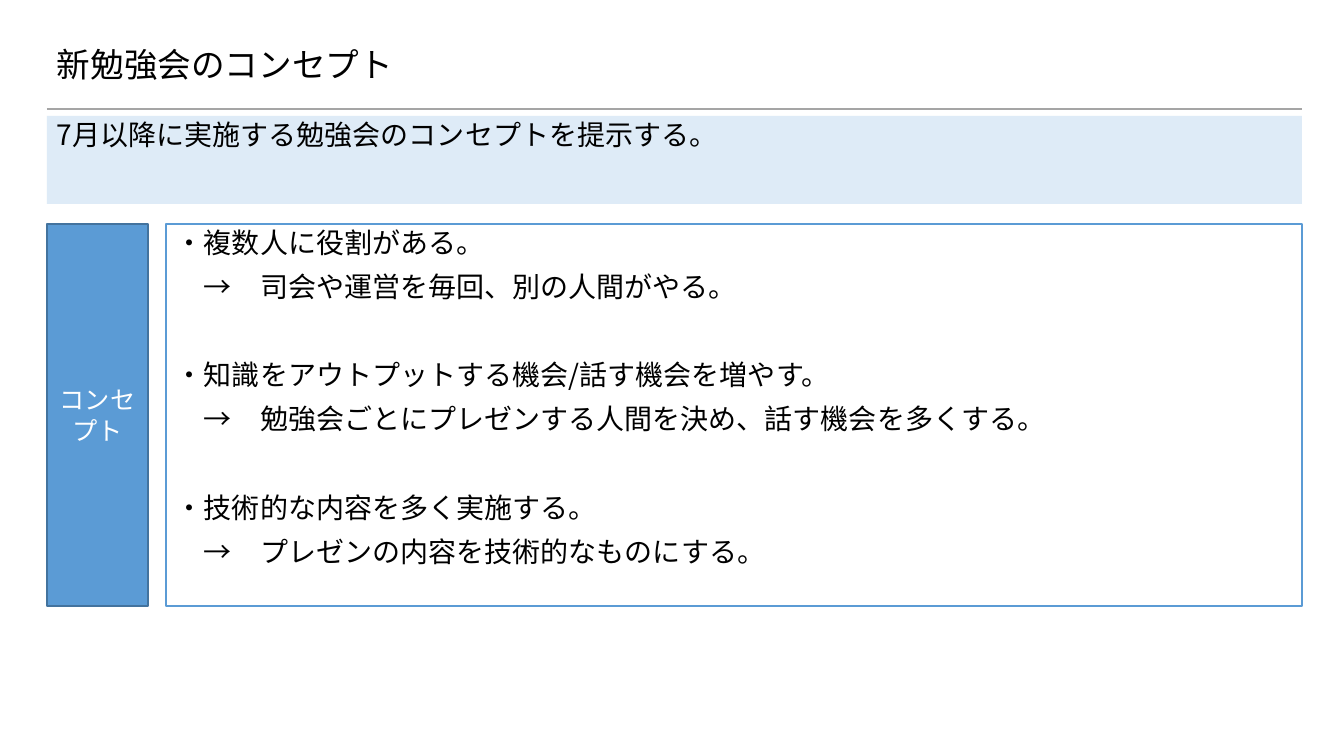
import pptx
import pptx.dml.color
import pptx.enum.shapes
import pptx.enum.text
import pptx.oxml.ns
import pptx.util
from lxml import etree

COLORS = {
    "black": "000000",
    "white": "FFFFFF",
    "rule": "A5A5A5",
    "banner": "DEEBF7",
    "blue": "5B9BD5",
    "dark_blue": "43739E",
}
FONT = "Noto Sans CJK JP"
LEFT, RIGHT = 47, 1302
PANEL_TOP, PANEL_HEIGHT = 224, 382
CONTENT_LEFT = 166
CONCEPTS = [
    ("・複数人に役割がある。", "　→　司会や運営を毎回、別の人間がやる。"),
    ("・知識をアウトプットする機会/話す機会を増やす。",
     "　→　勉強会ごとにプレゼンする人間を決め、話す機会を多くする。"),
    ("・技術的な内容を多く実施する。", "　→　プレゼンの内容を技術的なものにする。"),
]


def px(length):
    return pptx.util.Emu(round(length * 914400 / 100.8))


def rgb(name):
    return pptx.dml.color.RGBColor.from_string(COLORS[name])


class ConceptSlide:
    def __init__(self, presentation, font):
        self.font = font
        self.slide = presentation.slides.add_slide(presentation.slide_layouts[6])

    def rule(self, left, right, top, color, width):
        connector = self.slide.shapes.add_connector(
            pptx.enum.shapes.MSO_CONNECTOR.STRAIGHT, px(left), px(top), px(right), px(top))
        connector.line.color.rgb = rgb(color)
        connector.line.width = pptx.util.Pt(width)
        etree.SubElement(connector._element.spPr, pptx.oxml.ns.qn("a:effectLst"))

    def text(self, left, top, width, height, paragraphs, **style):
        shape = self.slide.shapes.add_textbox(px(left), px(top), px(width), px(height))
        self.fill_text(shape, paragraphs, **style)

    def box(self, left, top, width, height, fill, line, paragraphs, **style):
        shape = self.slide.shapes.add_shape(
            pptx.enum.shapes.MSO_SHAPE.RECTANGLE, px(left), px(top), px(width), px(height))
        shape.shadow.inherit = False
        shape.fill.solid()
        shape.fill.fore_color.rgb = rgb(fill)
        if line:
            shape.line.color.rgb = rgb(line)
            shape.line.width = pptx.util.Pt(1)
        else:
            shape.line.fill.background()
        self.fill_text(shape, paragraphs, **style)

    def fill_text(self, shape, paragraphs, size, color="black", anchor="TOP", align="LEFT", spacing=0.9):
        frame = shape.text_frame
        frame.word_wrap = True
        frame.vertical_anchor = pptx.enum.text.MSO_ANCHOR[anchor]
        for index, (words, space_before) in enumerate(paragraphs):
            paragraph = frame.add_paragraph() if index else frame.paragraphs[0]
            paragraph_format = {
                "alignment": pptx.enum.text.PP_ALIGN[align],
                "line_spacing": spacing,
                "space_before": pptx.util.Pt(space_before),
            }
            for name, value in paragraph_format.items():
                setattr(paragraph, name, value)
            run = paragraph.add_run()
            run.text = words
            for name, value in {"name": self.font, "size": pptx.util.Pt(size)}.items():
                setattr(run.font, name, value)
            run.font.color.rgb = rgb(color)
            east_asian = etree.SubElement(run._r.get_or_add_rPr(), pptx.oxml.ns.qn("a:ea"))
            east_asian.set("typeface", self.font)


def main():
    presentation = pptx.Presentation()
    presentation.slide_width = px(1344)
    presentation.slide_height = px(756)
    slide = ConceptSlide(presentation, FONT)
    slide.rule(LEFT, RIGHT, 109, "rule", 1.5)
    slide.text(LEFT, 37, 1159, 59, [("新勉強会のコンセプト", 0)], size=24, anchor="MIDDLE")
    slide.box(LEFT, 116, RIGHT - LEFT, 88, "banner", None,
              [("7月以降に実施する勉強会のコンセプトを提示する。", 10)], size=20)
    slide.box(LEFT, PANEL_TOP, 101, PANEL_HEIGHT, "blue", "dark_blue",
              [("コンセ", 0), ("プト", 0)],
              size=18, color="white", anchor="MIDDLE", align="CENTER", spacing=1.0)
    lines = []
    for index, (concept, action) in enumerate(CONCEPTS):
        lines += [(concept, 41.5 if index else 10), (action, 10)]
    slide.box(CONTENT_LEFT, PANEL_TOP, RIGHT - CONTENT_LEFT, PANEL_HEIGHT, "white", "blue",
              lines, size=20)
    presentation.save("out.pptx")


if __name__ == "__main__":
    main()
